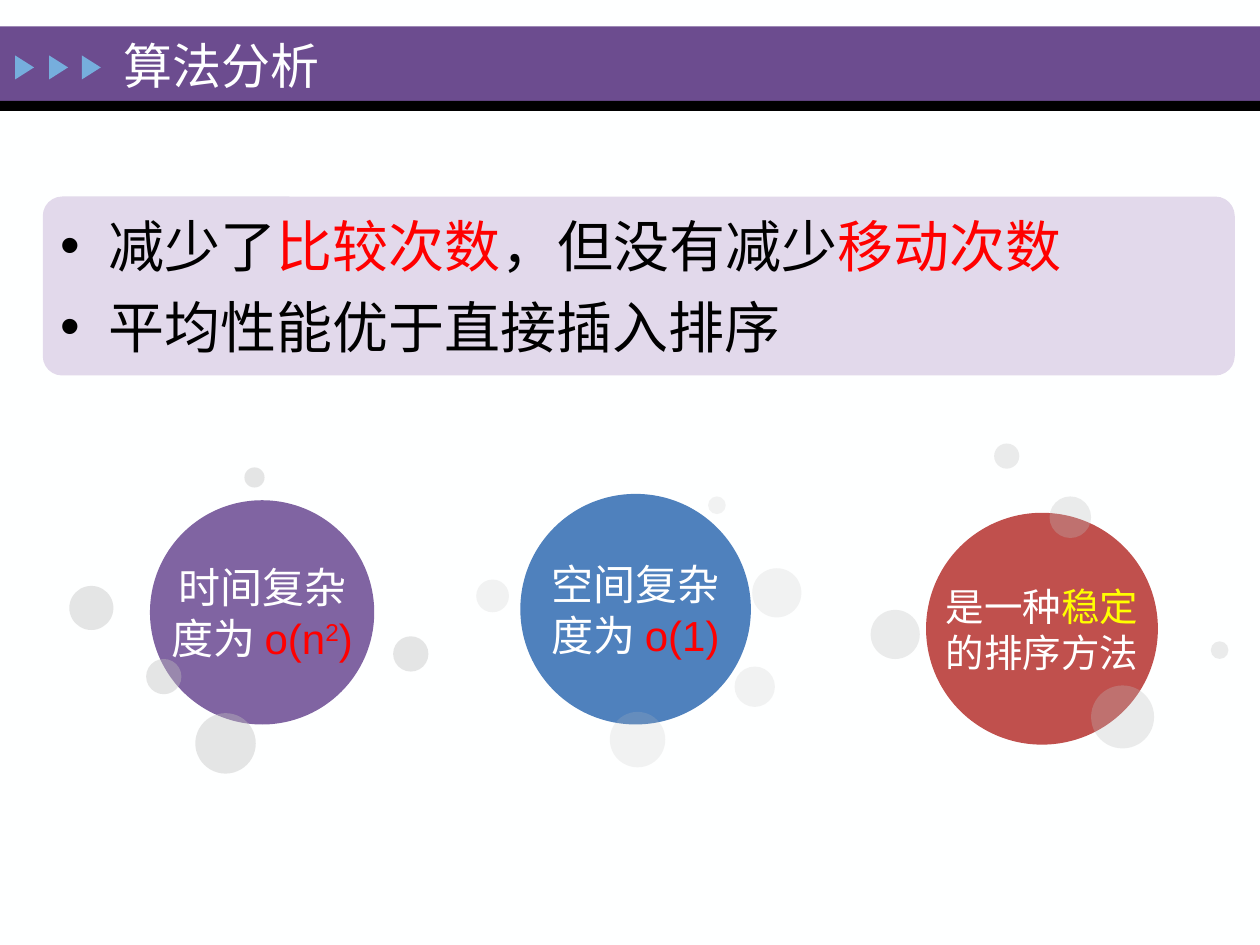
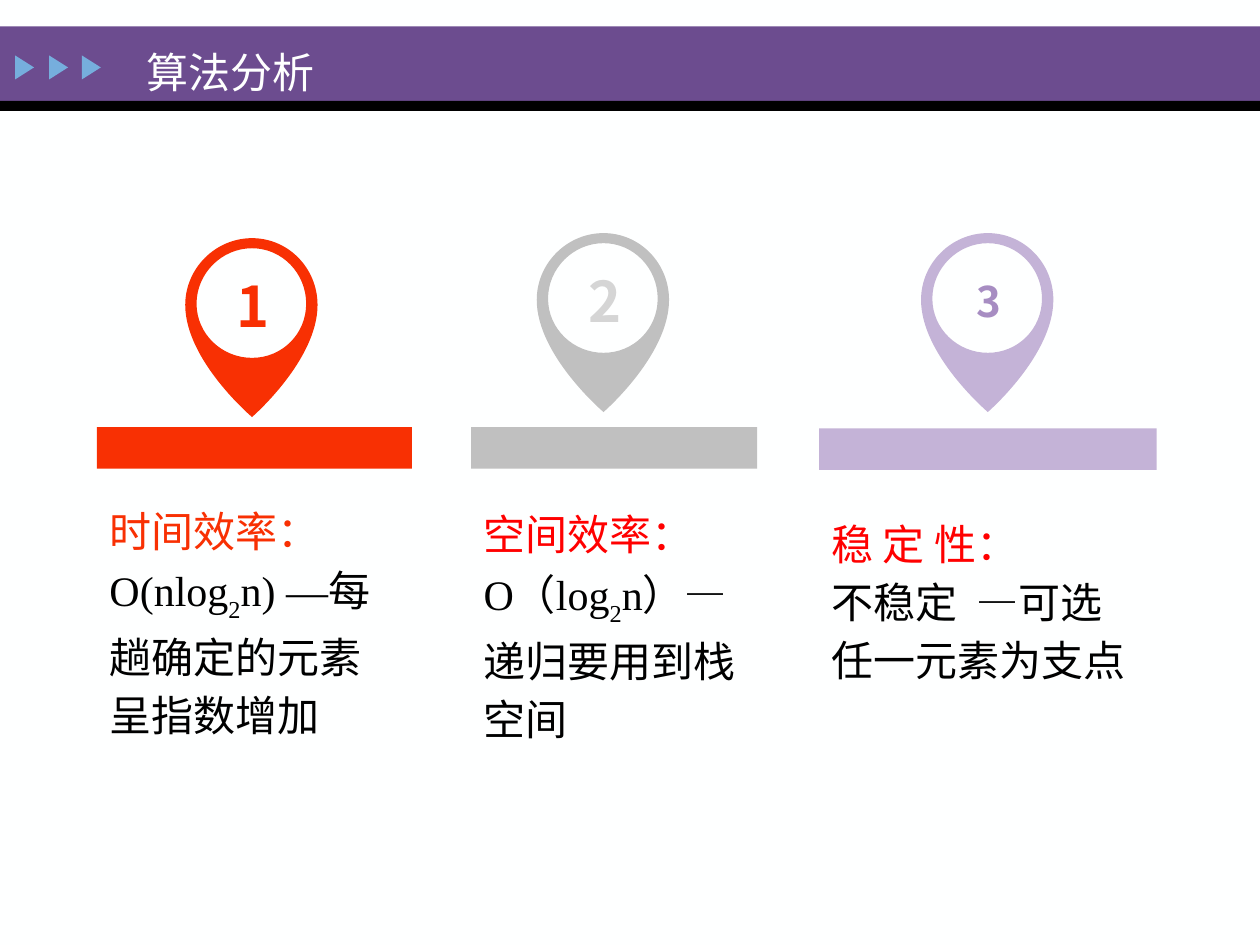
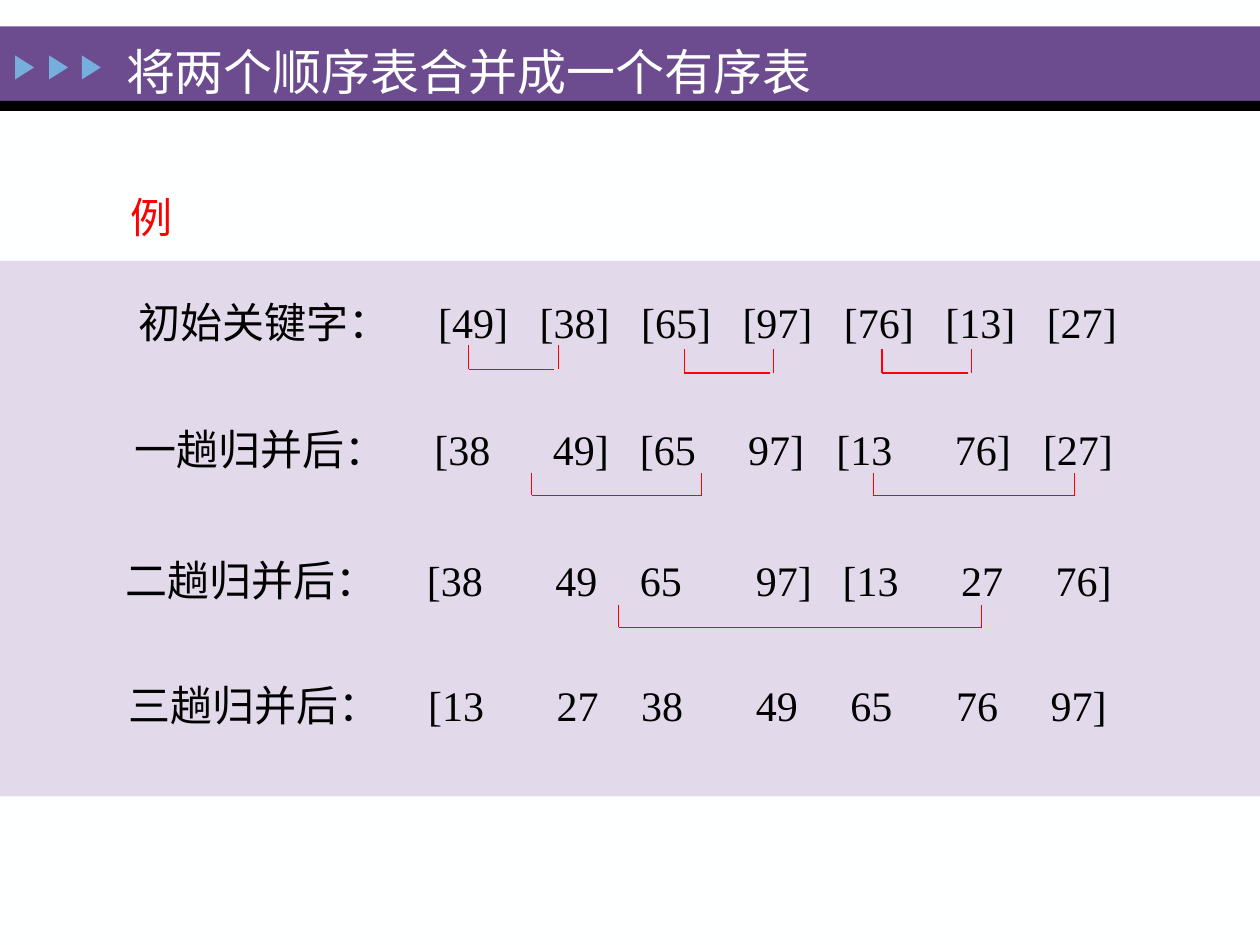
from typing import NamedTuple

from lxml.etree import SubElement
from pptx import Presentation
from pptx.dml.color import RGBColor
from pptx.enum.lang import MSO_LANGUAGE_ID
from pptx.enum.shapes import MSO_CONNECTOR, MSO_SHAPE
from pptx.enum.text import MSO_ANCHOR, MSO_AUTO_SIZE, PP_ALIGN
from pptx.oxml.ns import qn
from pptx.util import Inches, Pt

BACKGROUND = RGBColor(0xFE, 0xFF, 0xFF)
PURPLE = RGBColor(0x6C, 0x4C, 0x8F)
BLACK = RGBColor(0, 0, 0)
SKY = RGBColor(0x76, 0xAE, 0xDD)
LAVENDER = RGBColor(0xE2, 0xD9, 0xEB)
RED = RGBColor(0xFF, 0, 0)
YELLOW = RGBColor(0xFF, 0xFF, 0)
WHITE = RGBColor(0xFF, 0xFF, 0xFF)
BUBBLE_GRAY = RGBColor(0xBF, 0xBF, 0xBF)
BLUE = RGBColor(0x4F, 0x81, 0xBD)
BRICK = RGBColor(0xC0, 0x50, 0x4D)
VIOLET = RGBColor(0x80, 0x64, 0xA2)
ORANGE = RGBColor(0xF8, 0x30, 0x03)
SILVER = RGBColor(0xC0, 0xC0, 0xC0)
PALE_SILVER = RGBColor(0xD5, 0xD5, 0xD5)
LILAC = RGBColor(0xC4, 0xB3, 0xD7)
DEEP_LILAC = RGBColor(0xA7, 0x8D, 0xC2)
SERIF, SANS, CHINESE = "Times New Roman", "Arial", "Noto Sans CJK SC"

PIN_OUTLINE = [(0, 0), (-0.29, 0), (-0.53, 0.24), (-0.53, 0.53),
               (-0.53, 0.97), (0, 1.42), (0, 1.42),
               (0, 1.42), (0.52, 0.97), (0.52, 0.53),
               (0.52, 0.24), (0.29, 0), (0, 0)]
PIN_HOLE = [(0, 0.95), (-0.24, 0.95), (-0.44, 0.76), (-0.44, 0.52),
            (-0.44, 0.28), (-0.24, 0.08), (0, 0.08),
            (0.24, 0.08), (0.43, 0.28), (0.43, 0.52),
            (0.43, 0.76), (0.24, 0.95), (0, 0.95)]


class Span(NamedTuple):
    """A stretch of text in one colour."""
    text: str
    color: RGBColor = BLACK
    baseline: int = 0


class Bubble(NamedTuple):
    """A small translucent circle."""
    left: float
    top: float
    size: float


class Topic(NamedTuple):
    """A labelled circle surrounded by bubbles."""
    left: float
    top: float
    size: float
    color: RGBColor
    font_size: int
    lines: list[list[Span]]
    opacity: int
    bubbles: list[Bubble]


class Column(NamedTuple):
    """A numbered pin over a bar and an explanation."""
    left: float
    width: float
    pin_center: float
    pin_top: float
    bar_top: float
    color: RGBColor
    number_color: RGBColor
    number_top: float
    number_size: int
    text_top: float
    spans: list[Span]


class MergeRow(NamedTuple):
    """A line of keys set on tab stops."""
    left: float
    top: float
    label: str
    keys: list[str]
    stops: list[float]


class Bracket(NamedTuple):
    """An open box that joins two runs of keys."""
    left: float
    right: float
    top: float
    bottom: float
    gap: float = 0


TOPICS = [
    Topic(4.13, 3.92, 1.83, BLUE, 24,
          [[Span("空间复杂", WHITE)], [Span("度为 ", WHITE), Span("o(1)", RED)]], 20,
          [Bubble(3.78, 4.6, 0.26), Bubble(4.84, 5.65, 0.44), Bubble(5.62, 3.94, 0.14),
           Bubble(5.83, 5.29, 0.32), Bubble(5.97, 4.51, 0.39)]),
    Topic(7.35, 4.07, 1.84, BRICK, 22,
          [[Span("是一种", WHITE), Span("稳定", YELLOW)], [Span("的排序方法", WHITE)]], 30,
          [Bubble(6.91, 4.84, 0.39), Bubble(7.89, 3.52, 0.2), Bubble(8.66, 5.44, 0.5),
           Bubble(9.61, 5.09, 0.14), Bubble(8.33, 3.94, 0.33)]),
    Topic(1.19, 3.97, 1.78, VIOLET, 24,
          [[Span("时间复杂", WHITE)],
           [Span("度为 ", WHITE), Span("o(n", RED), Span("2", RED, 30), Span(")", RED)]], 40,
          [Bubble(3.12, 5.05, 0.28), Bubble(1.16, 5.23, 0.28), Bubble(1.55, 5.66, 0.48),
           Bubble(1.94, 3.71, 0.16), Bubble(0.55, 4.65, 0.35)]),
]

COLUMNS = [
    Column(0.77, 2.5, 2, 1.89, 3.39, ORANGE, ORANGE, 2.11, 32, 3.9,
           [Span("时间效率：", ORANGE), Span("O(nlog"), Span("2", BLACK, -30),
            Span("n) —每趟确定的元素呈指数增加")]),
    Column(3.74, 2.27, 4.79, 1.85, 3.39, SILVER, PALE_SILVER, 2.07, 32, 3.93,
           [Span("空间效率：\n", RED), Span("O（log"), Span("2", BLACK, -30),
            Span("n）—递归要用到栈空间")]),
    Column(6.5, 2.68, 7.84, 1.85, 3.4, LILAC, DEEP_LILAC, 2.14, 24, 4.01,
           [Span("稳 定 性：\n", RED), Span("不稳定  —可选任一元素为支点")]),
]

MERGE_ROWS = [
    MergeRow(1, 2.3, "初始关键字：", ["[49]", "[38]", "[65]", "[97]", "[76]", "[13]", "[27]"],
             [3.48 + 0.805 * index for index in range(7)]),
    MergeRow(0.97, 3.31, "一趟归并后：", ["[38", "49]", "[65", "97]", "[13", "76]", "[27]"],
             [3.45, 4.39, 5.08, 5.94, 6.64, 7.58, 8.28]),
    MergeRow(0.9, 4.35, "二趟归并后：", ["[38", "49", "65", "97]", "[13", "27", "76]"],
             [3.39, 4.41, 5.08, 6, 6.69, 7.63, 8.38]),
    MergeRow(0.92, 5.34, "三趟归并后：", ["[13", "27", "38", "49", "65", "76", "97]"],
             [3.4, 4.42, 5.09, 6, 6.75, 7.59, 8.34]),
]

BRACKETS = [
    Bracket(3.72, 4.43, 2.74, 2.93, 0.03),
    Bracket(5.43, 6.14, 2.77, 2.96, 0.03),
    Bracket(7, 7.71, 2.77, 2.96, 0.03),
    Bracket(4.22, 5.57, 3.75, 3.93),
    Bracket(6.93, 8.53, 3.75, 3.93),
    Bracket(4.91, 7.79, 4.8, 4.98),
]


def paint(shape, color: RGBColor) -> None:
    """Give a shape a flat fill without outline or shadow."""
    shape.shadow.inherit = False
    shape.fill.solid()
    shape.fill.fore_color.rgb = color
    shape.line.fill.background()


def add_block(slide, kind: MSO_SHAPE, left: float, top: float, width: float, height: float,
              color: RGBColor):
    """Add a flat preset shape."""
    shape = slide.shapes.add_shape(kind, Inches(left), Inches(top), Inches(width), Inches(height))
    paint(shape, color)
    return shape


def write(paragraph, spans: list[Span], size: int, font_name: str = SERIF,
          bold: bool = False) -> None:
    """Fill a paragraph with coloured spans."""
    for span in spans:
        run = paragraph.add_run()
        run.text = span.text.rstrip("\n")
        font = run.font
        font.name, font.size, font.bold = font_name, Pt(size), bold
        font.color.rgb = span.color
        font.language_id = MSO_LANGUAGE_ID.SIMPLIFIED_CHINESE
        properties = run._r.get_or_add_rPr()
        SubElement(properties, qn("a:ea")).set("typeface", CHINESE)
        if span.baseline:
            properties.set("baseline", str(span.baseline * 1000))
        if span.text.endswith("\n"):
            paragraph.add_line_break()


def add_text(slide, left: float, top: float, width: float, height: float,
             spans: list[Span], size: int = 24, font_name: str = SERIF, bold: bool = False):
    """Add a one-paragraph text box and return its paragraph."""
    box = slide.shapes.add_textbox(Inches(left), Inches(top), Inches(width), Inches(height))
    box.text_frame.word_wrap = True
    paragraph = box.text_frame.paragraphs[0]
    write(paragraph, spans, size, font_name, bold)
    return paragraph


def add_titled_slide(presentation, title: str, left: float, top: float, width: float,
                     size: int, line_spacing: float):
    """Add a title-only slide with its title set on the band."""
    slide = presentation.slides.add_slide(presentation.slide_layouts[5])
    shape = slide.shapes.title
    shape.left, shape.top = Inches(left), Inches(top)
    shape.width, shape.height = Inches(width), Inches(0.58)
    frame = shape.text_frame
    frame.auto_size = MSO_AUTO_SIZE.NONE
    frame.word_wrap = True
    frame.vertical_anchor = MSO_ANCHOR.TOP
    paragraph = frame.paragraphs[0]
    paragraph.alignment = PP_ALIGN.LEFT
    paragraph.line_spacing = line_spacing
    write(paragraph, [Span(title, BACKGROUND)], size)
    return slide


def move_bands_to_layout(slide) -> None:
    """Draw the title band and its arrows, and place them on the layout."""
    bands = [add_block(slide, MSO_SHAPE.RECTANGLE, 0, 0.21, 10, 0.59, PURPLE),
             add_block(slide, MSO_SHAPE.RECTANGLE, 0, 0.8, 10, 0.08, BLACK)]
    for left in (0.1, 0.37, 0.63):
        arrow = add_block(slide, MSO_SHAPE.ISOSCELES_TRIANGLE, left, 0.46, 0.19, 0.15, SKY)
        arrow.rotation = 90
        bands.append(arrow)
    for position, band in enumerate(bands, start=2):
        slide.slide_layout.shapes.element.insert(position, band.element)


def add_findings(slide) -> None:
    """Add the panel of bulleted findings."""
    panel = add_block(slide, MSO_SHAPE.ROUNDED_RECTANGLE, 0.34, 1.56, 9.46, 1.42, LAVENDER)
    panel.adjustments[0] = 0.108
    frame = panel.text_frame
    frame.vertical_anchor = MSO_ANCHOR.TOP
    findings = [
        [Span("减少了"), Span("比较次数", RED), Span("，但没有减少"), Span("移动次数", RED)],
        [Span("平均性能优于直接插入排序")],
    ]
    for index, spans in enumerate(findings):
        paragraph = frame.add_paragraph() if index else frame.paragraphs[0]
        paragraph.alignment = PP_ALIGN.LEFT
        paragraph.line_spacing = 1.05
        paragraph.space_before = Pt(6 if index else 0)
        properties = paragraph._p.get_or_add_pPr()
        properties.set("marL", str(Inches(0.38)))
        properties.set("indent", str(-Inches(0.38)))
        SubElement(properties, qn("a:buFont")).set("typeface", SANS)
        SubElement(properties, qn("a:buChar")).set("char", "•")
        write(paragraph, spans, 32)


def add_topic(slide, topic: Topic) -> None:
    """Add a labelled circle and its bubbles."""
    circle = add_block(slide, MSO_SHAPE.OVAL, topic.left, topic.top, topic.size, topic.size,
                       topic.color)
    frame = circle.text_frame
    frame.word_wrap = False
    frame.vertical_anchor = MSO_ANCHOR.MIDDLE
    frame.margin_left = frame.margin_right = frame.margin_top = frame.margin_bottom = 0
    for index, spans in enumerate(topic.lines):
        paragraph = frame.add_paragraph() if index else frame.paragraphs[0]
        paragraph.alignment = PP_ALIGN.CENTER
        write(paragraph, spans, topic.font_size, SANS)
    for bubble in topic.bubbles:
        shape = add_block(slide, MSO_SHAPE.OVAL, bubble.left, bubble.top, bubble.size,
                          bubble.size, BUBBLE_GRAY)
        color = shape.element.find(".//" + qn("a:srgbClr"))
        SubElement(color, qn("a:alpha")).set("val", str(topic.opacity * 1000))


def bend_segments(shape) -> None:
    """Turn each three straight segments of a freeform into one cubic curve."""
    segments = list(shape.element.iter(qn("a:lnTo")))
    for start in range(0, len(segments), 3):
        first, *others = segments[start:start + 3]
        first.tag = qn("a:cubicBezTo")
        for segment in others:
            first.append(segment[0])
            segment.getparent().remove(segment)


def add_pin(slide, center: float, top: float, color: RGBColor) -> None:
    """Add a map pin with a round hole."""
    outline, hole = ([(Inches(center + x), Inches(top + y)) for x, y in contour]
                     for contour in (PIN_OUTLINE, PIN_HOLE))
    builder = slide.shapes.build_freeform(*outline[0])
    builder.add_line_segments(outline[1:], close=True)
    builder.move_to(*hole[0])
    builder.add_line_segments(hole[1:], close=True)
    pin = builder.convert_to_shape()
    bend_segments(pin)
    paint(pin, color)


def add_column(slide, number: int, column: Column) -> None:
    """Add a pin, its number, its bar and its explanation."""
    add_pin(slide, column.pin_center, column.pin_top, column.color)
    add_block(slide, MSO_SHAPE.RECTANGLE, column.left, column.bar_top, column.width, 0.33,
              column.color)
    label = add_text(slide, column.pin_center - 0.24, column.number_top, 0.5, 0.64,
                     [Span(str(number), column.number_color)], column.number_size, CHINESE, True)
    label.alignment = PP_ALIGN.CENTER
    explanation = add_text(slide, column.left, column.text_top, column.width - 0.02, 1.96,
                           column.spans)
    explanation.line_spacing = 1.15


def add_merge_row(slide, row: MergeRow) -> None:
    """Add a labelled line of keys on tab stops."""
    line = "\t".join([row.label, *row.keys])
    paragraph = add_text(slide, row.left, row.top, 8.5, 0.51, [Span(line)])
    tabs = SubElement(paragraph._p.get_or_add_pPr(), qn("a:tabLst"))
    for stop in row.stops:
        tab = SubElement(tabs, qn("a:tab"))
        tab.set("pos", str(Inches(stop - row.left - 0.1)))
        tab.set("algn", "l")


def add_bracket(slide, bracket: Bracket) -> None:
    """Add the three lines of a bracket."""
    left, right, top, bottom, gap = bracket
    for ends in ((left, top, left, bottom), (left, bottom, right - gap, bottom),
                 (right, bottom, right, top)):
        connector = slide.shapes.add_connector(MSO_CONNECTOR.STRAIGHT, *map(Inches, ends))
        connector.line.color.rgb = RED
        connector.line.width = Pt(0.75)
        SubElement(connector.element.spPr, qn("a:effectLst"))


def main() -> None:
    """Build the three slides and save them."""
    presentation = Presentation()
    presentation.slide_width, presentation.slide_height = Inches(10), Inches(7.5)
    background = presentation.slide_master.background.fill
    background.solid()
    background.fore_color.rgb = BACKGROUND

    slide = add_titled_slide(presentation, "算法分析", 0.88, 0.23, 2.67, 28, 1)
    add_findings(slide)
    for topic in TOPICS:
        add_topic(slide, topic)

    slide = add_titled_slide(presentation, "算法分析", 1.06, 0.22, 2.67, 24, 1.25)
    for number, column in enumerate(COLUMNS, start=1):
        add_column(slide, number, column)

    slide = add_titled_slide(presentation, "将两个顺序表合并成一个有序表", 0.9, 0.16, 6.14, 28, 1.25)
    add_block(slide, MSO_SHAPE.RECTANGLE, 0, 2.07, 10, 4.25, LAVENDER)
    add_text(slide, 0.94, 1.47, 0.54, 0.5, [Span("例", RED)])
    for row in MERGE_ROWS:
        add_merge_row(slide, row)
    for bracket in BRACKETS:
        add_bracket(slide, bracket)

    move_bands_to_layout(slide)
    presentation.save("out.pptx")


if __name__ == "__main__":
    main()
